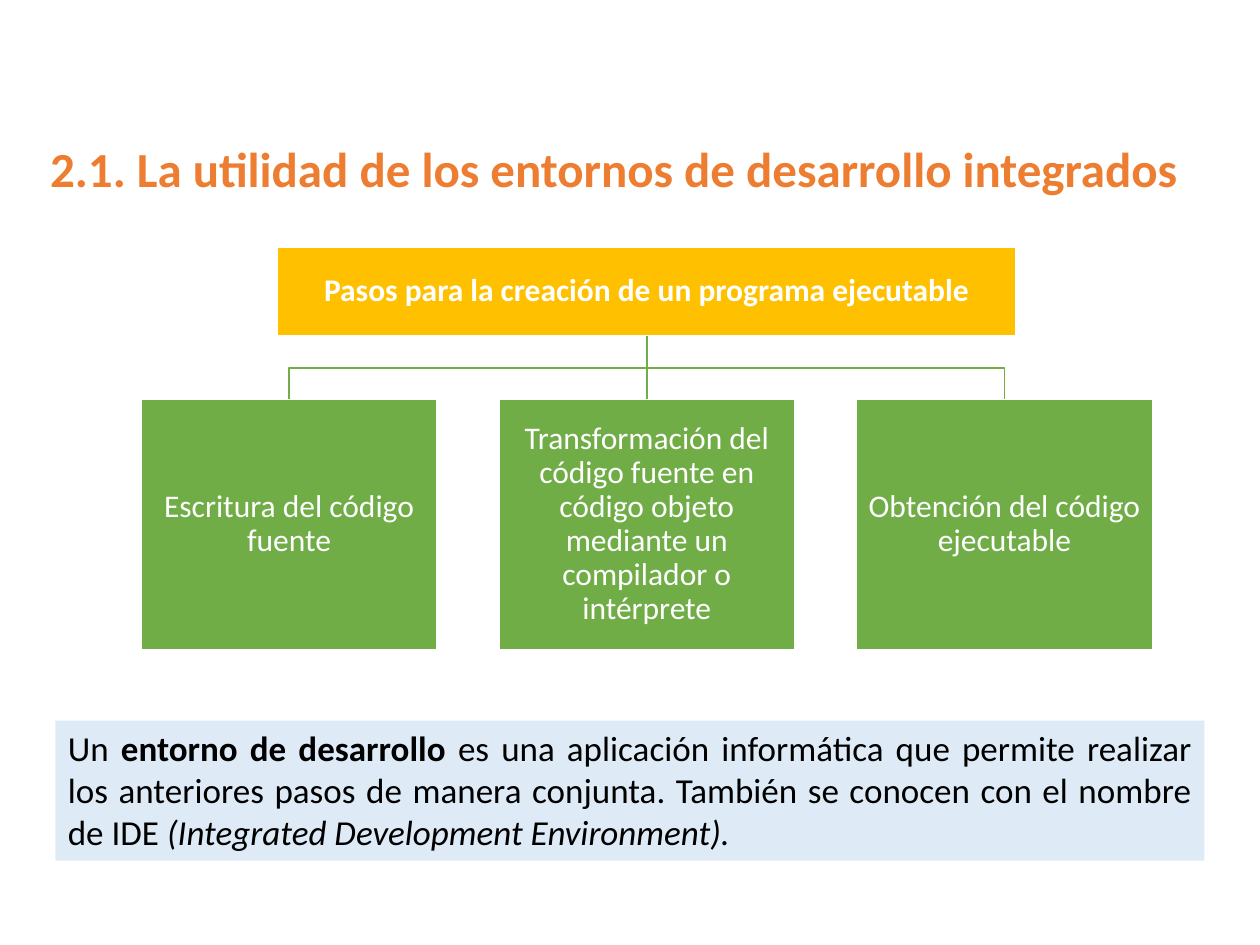
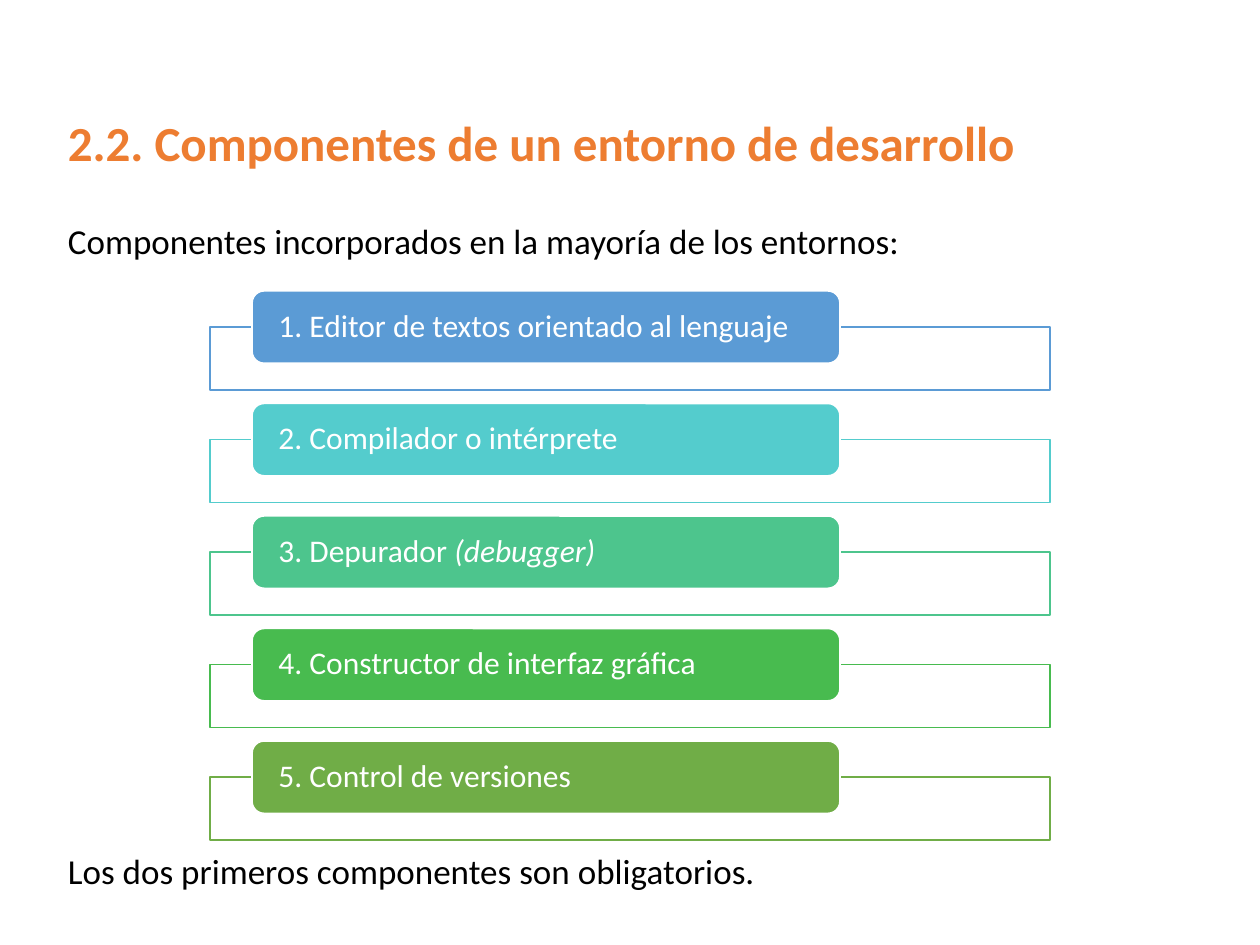
"""Build two slides on integrated development environments."""
from pptx import Presentation
from pptx.util import Pt
from pptx.dml.color import RGBColor
from pptx.enum import shapes, text
from pptx.oxml import parse_xml
from pptx.oxml.ns import nsdecls

ORANGE = RGBColor(0xED, 0x7D, 0x31)
GOLD = RGBColor(0xFF, 0xC0, 0x00)
GREEN = RGBColor(0x70, 0xAD, 0x47)
PALE = RGBColor(0xDE, 0xEB, 0xF7)
BLUE = RGBColor(0x5B, 0x9B, 0xD5)
AQUA = RGBColor(0x54, 0xCC, 0xCD)
MINT = RGBColor(0x4D, 0xC5, 0x8D)
LEAF = RGBColor(0x48, 0xBB, 0x4F)
BLACK = RGBColor(0, 0, 0)
WHITE = RGBColor(255, 255, 255)
RECT = shapes.MSO_SHAPE.RECTANGLE
ROUND = shapes.MSO_SHAPE.ROUNDED_RECTANGLE
LEFT, CENTER, JUST = text.PP_ALIGN.LEFT, text.PP_ALIGN.CENTER, text.PP_ALIGN.JUSTIFY
TOP, MIDDLE = text.MSO_ANCHOR.TOP, text.MSO_ANCHOR.MIDDLE


def draw(slide, kind, place, fill, line=None):
    """Add a filled shape, or a text box when kind is None."""
    place = [Pt(n) for n in place]
    if kind is None:
        return slide.shapes.add_textbox(*place)
    shape = slide.shapes.add_shape(kind, *place)
    shape.shadow.inherit = False
    shape.fill.solid()
    shape.fill.fore_color.rgb = fill
    if line is None:
        shape.line.fill.background()
    else:
        shape.line.color.rgb = line
        shape.line.width = Pt(1)
    return shape


def write(shape, runs, size, color, align=LEFT, anchor=TOP, inset=(7.2, 3.6), space=0.9):
    """Fill a shape with runs given as (words, style) pairs."""
    frame = shape.text_frame
    frame.word_wrap = True
    frame.vertical_anchor = anchor
    frame.margin_left = frame.margin_right = Pt(inset[0])
    frame.margin_top = frame.margin_bottom = Pt(inset[1])
    para = frame.paragraphs[0]
    para.alignment = align
    para.line_spacing = space
    for words, style in runs:
        run = para.add_run()
        run.text = words
        font = run.font
        font.name = "Calibri"
        font.size = Pt(size)
        font.color.rgb = color
        font.bold = style == "b"
        font.italic = style == "i"


deck = Presentation()
deck.slide_width, deck.slide_height = Pt(720), Pt(540)
blank = deck.slide_layouts[6]

pages = []
for title, place in [
    ("2.1. La utilidad de los entornos de desarrollo integrados", (21.6, 79.2, 667, 65)),
    ("2.2. Componentes de un entorno de desarrollo", (31.7, 64.8, 621, 65)),
]:
    page = deck.slides.add_slide(blank)
    write(draw(page, None, place, None), [(title, "b")], 28, ORANGE)
    pages.append(page)
steps, parts = pages

note = draw(steps, RECT, (31.7, 411.8, 656.6, 80), PALE)
write(note, [
    ("Un ", ""),
    ("entorno de desarrollo ", "b"),
    ("es una aplicación informática que permite realizar los anteriores pasos "
     "de manera conjunta. También se conocen con el nombre de IDE ", ""),
    ("(Integrated Development Environment).", "i"),
], 20, BLACK, JUST, space=1)

mid, base, bend, head = 369.6, 192.2, 210.2, 228.2
wide, step = 169.2, 204.4
root = draw(steps, RECT, (mid - 211, 141, 422, base - 141), GOLD, WHITE)
write(root, [("Pasos para la creación de un programa ejecutable", "b")],
      18, WHITE, CENTER, MIDDLE, (0.9, 0.9))

for side, words in [
    (-1, "Escritura del código fuente"),
    (0, "Transformación del código fuente en código objeto mediante un compilador o intérprete"),
    (1, "Obtención del código ejecutable"),
]:
    axis = mid + side * step
    box = draw(steps, RECT, (axis - wide / 2, head, wide, 143), GREEN, WHITE)
    write(box, [(words, "")], 18, WHITE, CENTER, MIDDLE, (0.9, 0.9))
    if side:
        pen = steps.shapes.build_freeform(Pt(mid), Pt(base))
        pen.add_line_segments(
            [(Pt(mid), Pt(bend)), (Pt(axis), Pt(bend)), (Pt(axis), Pt(head))], close=False)
        link = pen.convert_to_shape()
        link.fill.background()
        link.shadow.inherit = False
    else:
        link = steps.shapes.add_connector(
            shapes.MSO_CONNECTOR.STRAIGHT, Pt(mid), Pt(base), Pt(mid), Pt(head))
        link.begin_connect(root, 2)
        link.end_connect(box, 0)
        link._element.spPr.append(parse_xml(f"<a:effectLst {nsdecls('a')}/>"))
    link.line.color.rgb = GREEN
    link.line.width = Pt(1)

for words, top in [
    ("Componentes incorporados en la mayoría de los entornos:", 121.7),
    ("Los dos primeros componentes son obligatorios.", 482),
]:
    write(draw(parts, None, (31.7, top, 599, 32), None), [(words, "")], 20, BLACK, space=1)

for i, (color, runs) in enumerate([
    (BLUE, [("1. Editor de textos orientado al lenguaje", "")]),
    (AQUA, [("2. Compilador o intérprete", "")]),
    (MINT, [("3. Depurador ", ""), ("(debugger)", "i")]),
    (LEAF, [("4. Constructor de interfaz gráfica", "")]),
    (GREEN, [("5. Control de versiones", "")]),
]):
    top = 166.2 + i * 64.3
    draw(parts, RECT, (120, top + 20.7, 480, 36), WHITE, color)
    pill = draw(parts, ROUND, (144, top, 336, 41.4), color, WHITE)
    write(pill, runs, 18, WHITE, LEFT, MIDDLE, (13.1, 0))

deck.save("out.pptx")
